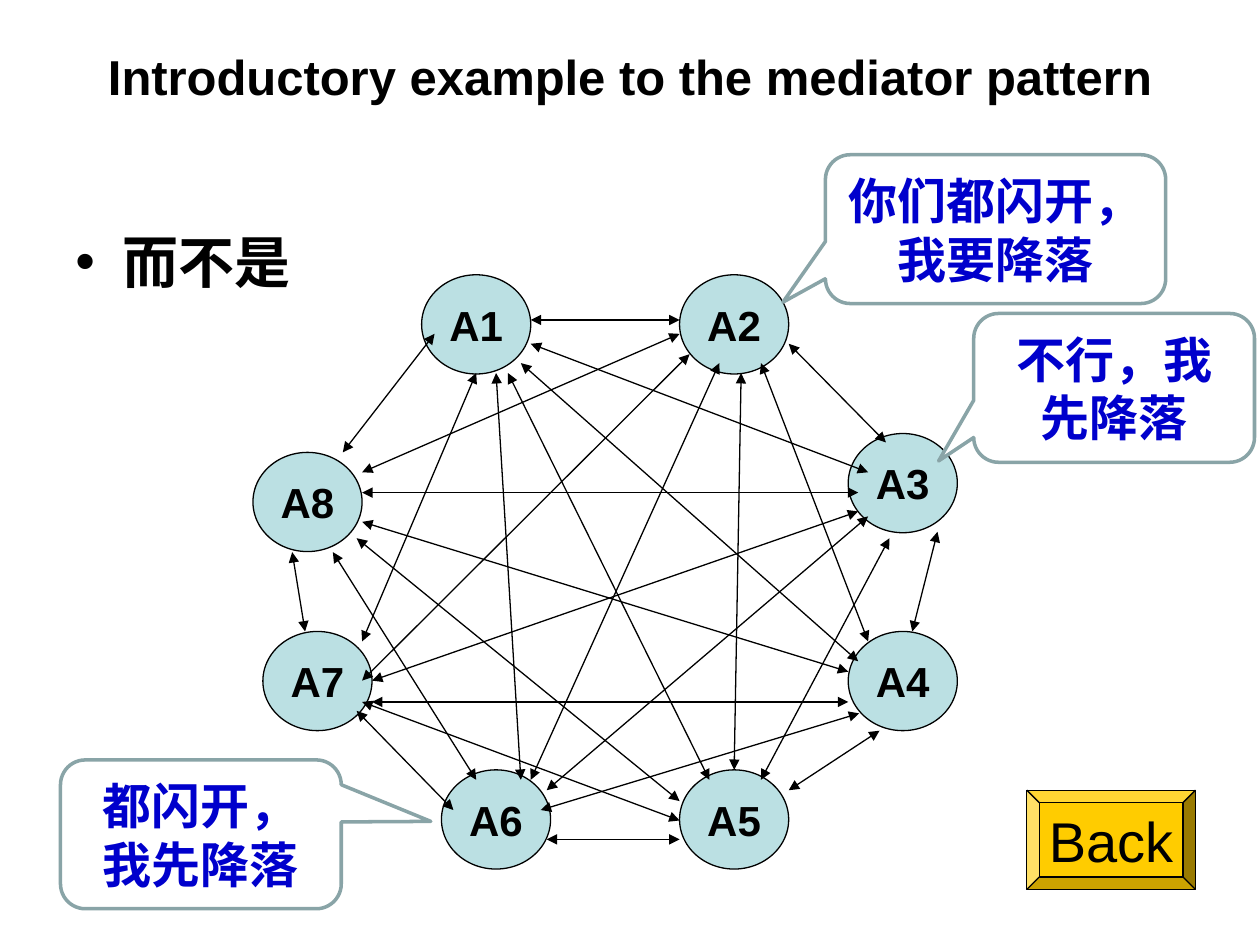
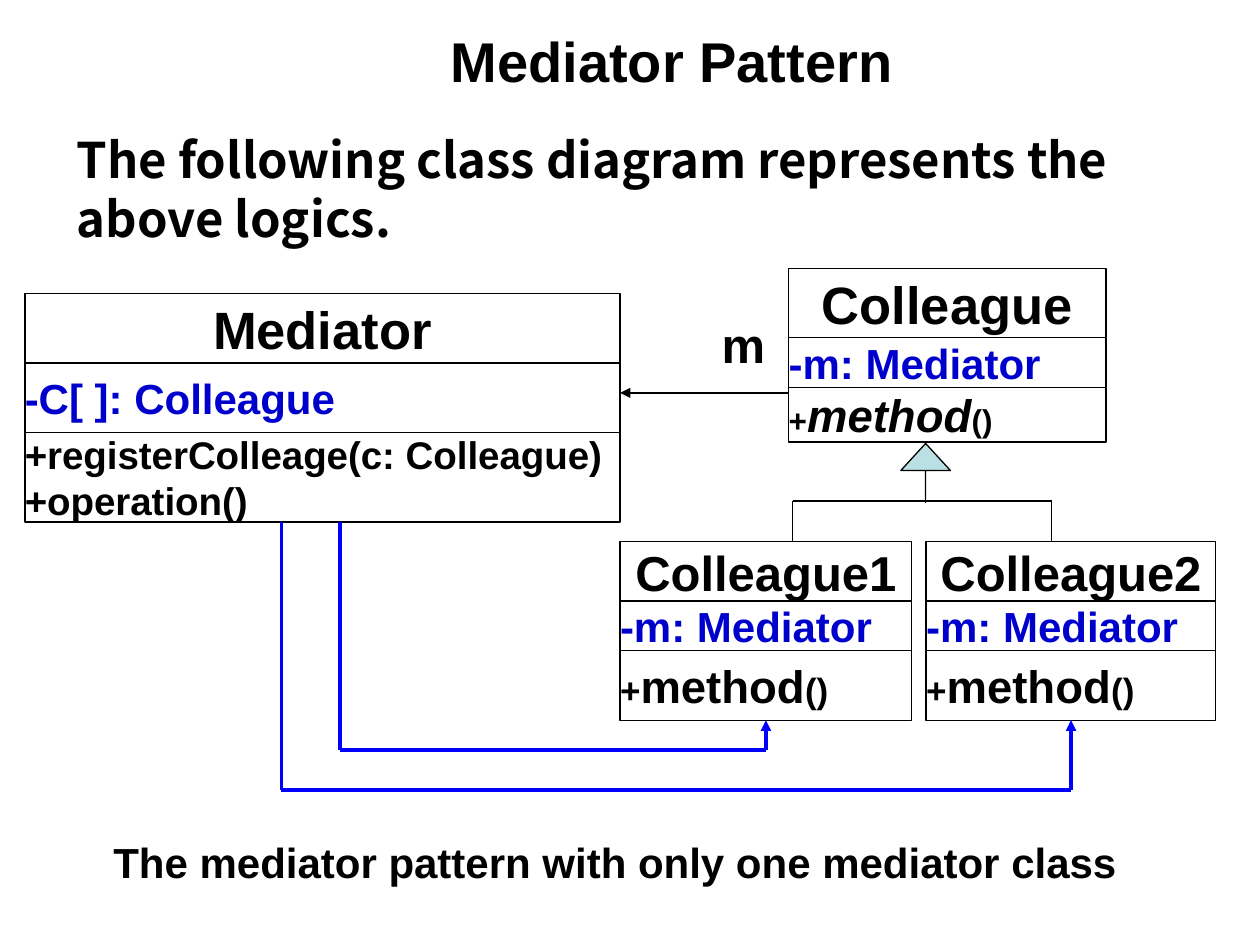
from dataclasses import dataclass
from itertools import pairwise
from pptx import Presentation
from pptx.dml.color import RGBColor as RGB
from pptx.enum.shapes import MSO_CONNECTOR as LINK, MSO_SHAPE as KIND
from pptx.enum.text import MSO_ANCHOR as ANCHOR, PP_ALIGN as ALIGN
from pptx.oxml.ns import qn
from pptx.util import Cm, Pt
from lxml.etree import SubElement


@dataclass(frozen=True)
class Theme:
    black: str = "000000"
    white: str = "FFFFFF"
    pale: str = "BBE0E3"
    gold: str = "FFCC00"
    grey: str = "89A4A7"
    navy: str = "0000CC"
    blue: str = "0000FF"
    latin: str = "Arial"
    han: str = "Noto Sans CJK SC"
    thin: float = 0.75
    firm: float = 1
    thick: float = 2
    huge: int = 32
    head: int = 30
    large: int = 28
    name: int = 26
    mid: int = 24
    code: int = 22
    small: int = 20
    tiny: int = 18


T = Theme()

# ---- Content: lengths in cm ----
NODE = (2.2, 2.0)
PLANES = {
    "A1": (8.5, 5.54), "A2": (13.7, 5.54), "A3": (17.1, 8.74), "A4": (17.1, 12.73),
    "A5": (13.7, 15.52), "A6": (8.9, 15.52), "A7": (5.3, 12.73), "A8": (5.1, 9.12),
}
# Each plane talks to each other plane: x1, y1, x2, y2
TALKS = [
    (10.7, 6.45, 13.7, 6.45), (14.5, 7.32, 10.7, 15.72),
    (17.5, 10.41, 11.02, 15.93), (10.5, 7.32, 17.3, 13.33),
    (10.24, 7.52, 14.3, 15.72), (10, 7.52, 10.5, 15.72),
    (9.14, 16.33, 7.19, 14.33), (8.76, 6.73, 6.91, 9.12),
    (10.7, 6.93, 17.5, 9.52), (9.6, 7.52, 7.3, 12.93),
    (14.94, 7.52, 14.8, 15.52), (13.9, 7.14, 7.3, 13.72),
    (13.7, 6.73, 7.3, 9.52), (15.34, 7.32, 17.5, 12.93),
    (17.86, 8.92, 15.9, 6.93), (18.39, 12.73, 18.9, 10.72),
    (17.73, 14.73, 15.9, 15.93), (17.3, 9.93, 7.3, 9.93),
    (17.3, 10.31, 7.5, 13.72), (17.93, 10.85, 15.34, 15.72),
    (7.3, 10.52, 17.1, 13.54), (7.5, 14.15, 17.1, 14.15),
    (10.9, 16.33, 17.32, 14.38), (13.7, 16.92, 11.02, 16.92),
    (5.89, 11.13, 6.15, 12.73), (7.19, 10.85, 13.7, 16.15),
    (7.3, 14.15, 13.7, 16.54), (6.71, 11.13, 9.6, 15.72),
]
# Speech: place, pointer, lines
SPEECH = [
    ((16.64, 3.12, 6.86, 3), (-0.625, 0.491, 0.167), ["你们都闪开，", "我要降落"]),
    ((19.63, 6.32, 5.66, 3), (-0.625, 0.491, 0.167), ["不行，我", "先降落"]),
    ((1.22, 15.32, 5.66, 3), (0.819, -0.087, 0.167), ["都闪开，我先降落"]),
]


def call(side, slant=False):
    """Runs of the method row, with small signs around the name."""
    return [[("+", {"size": side}), ("method", {"size": T.name, "italic": slant}),
             ("()", {"size": side})]]


# Classes: left, top, width, row heights, line, name size, field, methods
FIELD = "-m: Mediator"
CLASSES = {
    "Colleague1": (12.5, 10.92, 5.88, (1.2, 1, 1.4), T.thin, T.large, FIELD, call(T.small)),
    "Colleague2": (18.67, 10.92, 5.84, (1.2, 1, 1.4), T.thin, T.large, FIELD, call(T.small)),
    "Mediator": (0.5, 5.92, 12, (1.4, 1.4, 1.8), T.firm, T.head, "-C[ ]: Colleague",
                 ["+registerColleage(c: Colleague)", "+operation()"]),
    "Colleague": (15.9, 5.41, 6.4, (1.4, 1, 1.1), T.thin, T.head, FIELD,
                  call(T.tiny, True)),
}
# Calls from the mediator: start x, turning y, class reached
ROUTES = [(5.67, 15.93, "Colleague2"), (6.85, 15.12, "Colleague1")]
FORK = {"y": 10.1, "ends": (15.98, 21.2), "stem": 18.66}


# ---- Shared helpers ----
def write(shape, lines, size, color=T.black, face=T.latin, bold=True,
          align=ALIGN.CENTER, anchor=ANCHOR.MIDDLE, wrap=True, left=0.25):
    """Each line is a string, or a list of (text, format) runs."""
    frame = shape.text_frame
    look = {"word_wrap": wrap, "vertical_anchor": anchor, "margin_left": Cm(left),
            "margin_right": Cm(0.25), "margin_top": Cm(0.13), "margin_bottom": Cm(0.13)}
    for key, val in look.items():
        setattr(frame, key, val)
    for i, line in enumerate(lines):
        para = frame.add_paragraph() if i else frame.paragraphs[0]
        para.alignment = align
        for text, extra in [(line, {})] if isinstance(line, str) else line:
            run = para.add_run()
            run.text = text
            run.font.color.rgb = RGB.from_string(color)
            form = {"name": face, "size": size, "bold": bold} | extra
            form["size"] = Pt(form["size"])
            for key, val in form.items():
                setattr(run.font, key, val)
            SubElement(run.font._element, qn("a:ea"), typeface=face)
    return shape


def label(slide, place, text, size, **form):
    return write(slide.shapes.add_textbox(*map(Cm, place)), [text], size, **form)


def title(slide, place, text, size):
    label(slide, place, text, size)


def draw(slide, kind, place, fill, line=T.black, width=T.thin, bends=()):
    shape = slide.shapes.add_shape(kind, *map(Cm, place))
    shape.shadow.inherit = False
    shape.fill.solid()
    shape.fill.fore_color.rgb = RGB.from_string(fill)
    shape.line.color.rgb = RGB.from_string(line)
    shape.line.width = Pt(width)
    for i, bend in enumerate(bends):
        shape.adjustments[i] = bend
    return shape


def link(slide, ends, color=T.black, width=T.thin, tips=()):
    wire = slide.shapes.add_connector(LINK.STRAIGHT, *map(Cm, ends))
    wire.line.color.rgb = RGB.from_string(color)
    wire.line.width = Pt(width)
    for tip in tips:
        SubElement(wire.line._get_or_add_ln(), qn(f"a:{tip}"), type="triangle")
    SubElement(wire._element.spPr, qn("a:effectLst"))
    return wire


# ---- Slide 1: everyone talks to everyone ----
def crowd(slide):
    title(slide, (1.27, 0.76, 22.86, 1.55),
          "Introductory example to the mediator pattern", T.large)

    body = label(slide, (1.27, 4.45, 6.63, 1.68), "而不是", T.huge, face=T.han,
                 align=ALIGN.LEFT, anchor=ANCHOR.TOP)
    props = body.text_frame.paragraphs[0]._p.get_or_add_pPr()
    props.set("marL", str(Cm(0.95)))
    props.set("indent", str(-Cm(0.95)))
    SubElement(props, qn("a:buFont"), typeface=T.latin)
    SubElement(props, qn("a:buChar"), char="•")

    for name, spot in PLANES.items():
        write(draw(slide, KIND.OVAL, spot + NODE, T.pale), [name], T.mid, wrap=False)
    for ends in TALKS:
        link(slide, ends, tips=("headEnd", "tailEnd"))

    back = draw(slide, KIND.BEVEL, (20.7, 15.93, 3.4, 2), T.gold, bends=(0.125,))
    write(back, ["Back"], T.huge, bold=False, wrap=False)
    for place, bends, lines in SPEECH:
        bubble = draw(slide, KIND.ROUNDED_RECTANGULAR_CALLOUT, place, T.white,
                      T.grey, T.thick, bends)
        write(bubble, lines, T.large, T.navy, T.han)


# ---- Slide 2: class diagram ----
def diagram(slide):
    title(slide, (7.98, 0.53, 11.13, 1.37), "Mediator Pattern", T.huge)
    label(slide, (1.3, 2.49, 23, 2.64),
          "The following class diagram represents the above logics.", T.large,
          face=T.han, align=ALIGN.LEFT, anchor=ANCHOR.TOP)

    # Class boxes, row under row
    last = {}
    for name, (x, y, wide, rows, width, size, field, methods) in CLASSES.items():
        flush = {"align": ALIGN.LEFT, "left": 0}
        parts = [([name], size, {}), ([field], T.mid, flush | {"color": T.navy}),
                 (methods, T.code, flush)]
        for tall, (lines, pt, form) in zip(rows, parts):
            box = draw(slide, KIND.RECTANGLE, (x, y, wide, tall), T.white, width=width)
            write(box, lines, pt, wrap=False, **form)
            y += tall
        last[name] = box

    # Inheritance fork
    y, stem = FORK["y"], FORK["stem"]
    left, right = FORK["ends"]
    link(slide, (left, y, right, y))
    for x in FORK["ends"]:
        link(slide, (x, y, x, CLASSES["Colleague1"][1]))
    draw(slide, KIND.UP_ARROW, (stem - 0.5, 8.94, 1, 1.19), T.pale, bends=(0, 0.546))

    # Reference from colleague to mediator
    link(slide, (15.9, 7.92, 12.5, 7.92), tips=("tailEnd",))
    label(slide, (14.3, 6.22, 1.4, 1.45), "m", T.large, align=ALIGN.LEFT,
          anchor=ANCHOR.TOP)

    # Calls from mediator to the concrete colleagues
    _, top, _, rows, *_ = CLASSES["Mediator"]
    for x, turn, name in ROUTES:
        goal = last[name]
        mid = (goal.left + goal.width / 2) / Cm(1)
        foot = (goal.top + goal.height) / Cm(1)
        stops = [(x, top + sum(rows)), (x, turn), (mid, turn), (mid, foot)]
        for start, end in pairwise(stops):
            final = end == stops[-1]
            wire = link(slide, start + end, T.blue, T.thick, ("tailEnd",) if final else ())
            if final:
                wire.end_connect(goal, 2)

    label(slide, (1.3, 16.74, 22.2, 1.27),
          "The mediator pattern with only one mediator class", T.mid, anchor=ANCHOR.TOP)


def main():
    deck = Presentation()
    deck.slide_width, deck.slide_height = Cm(25.4), Cm(19.05)
    for build in (crowd, diagram):
        build(deck.slides.add_slide(deck.slide_layouts[6]))
    deck.save("out.pptx")


if __name__ == "__main__":
    main()
